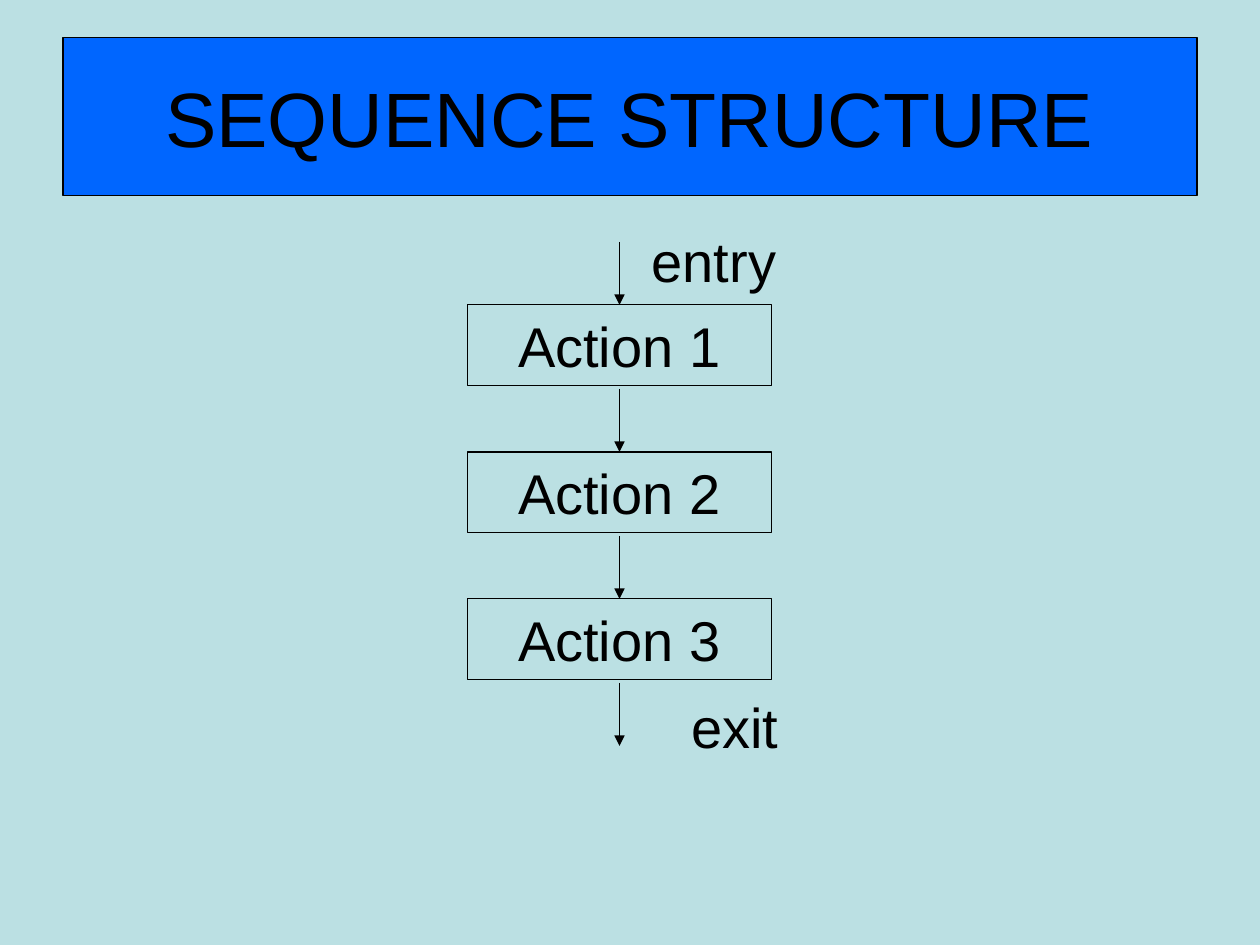
"""Build a slide that shows the sequence structure as a flowchart."""
from pptx import Presentation
from pptx.dml.color import RGBColor
from pptx.enum.shapes import MSO_CONNECTOR, MSO_SHAPE
from pptx.enum.text import MSO_ANCHOR, MSO_AUTO_SIZE, PP_ALIGN
from pptx.oxml.ns import qn
from pptx.util import Pt
from lxml.etree import SubElement

TITLE = "SEQUENCE STRUCTURE"
ACTIONS = ["Action 1", "Action 2", "Action 3"]
LABELS = [("entry", 354, 126), ("exit", 366, 392.4)]
COLORS = {"background": "BBE0E3", "title": "0066FF", "ink": "000000"}
FONT = "Arial"

CENTER_X = 354
FIRST_ARROW_TOP, ARROW_LENGTH, STEP = 138.2, 36, 84
BOX_WIDTH, BOX_HEIGHT = 174, 46
LABEL_WIDTH, LABEL_HEIGHT = 108, 45.4


def color(name):
    return RGBColor.from_string(COLORS[name])


def outline(shape):
    shape.line.color.rgb = color("ink")
    shape.line.width = Pt(0.75)


def write(shape, text, size):
    frame = shape.text_frame
    frame.text = text
    frame.word_wrap = True
    frame.auto_size = MSO_AUTO_SIZE.NONE
    frame.vertical_anchor = MSO_ANCHOR.MIDDLE
    paragraph = frame.paragraphs[0]
    paragraph.alignment = PP_ALIGN.CENTER
    paragraph.font.name = FONT
    paragraph.font.size = Pt(size)
    paragraph.font.color.rgb = color("ink")


def add_arrow(slide, top):
    arrow = slide.shapes.add_connector(
        MSO_CONNECTOR.STRAIGHT,
        Pt(CENTER_X), Pt(top), Pt(CENTER_X), Pt(top + ARROW_LENGTH))
    outline(arrow)
    SubElement(arrow.line._get_or_add_ln(), qn("a:tailEnd"), type="triangle")
    SubElement(arrow._element.spPr, qn("a:effectLst"))


def add_action(slide, text, top):
    box = slide.shapes.add_shape(
        MSO_SHAPE.RECTANGLE,
        Pt(CENTER_X - BOX_WIDTH / 2), Pt(top), Pt(BOX_WIDTH), Pt(BOX_HEIGHT))
    box.shadow.inherit = False
    box.fill.background()
    outline(box)
    write(box, text, 32)


def main():
    presentation = Presentation()
    presentation.slide_width, presentation.slide_height = Pt(720), Pt(540)
    slide = presentation.slides.add_slide(presentation.slide_layouts[5])
    slide.background.fill.solid()
    slide.background.fill.fore_color.rgb = color("background")

    title = slide.shapes.title
    title.left, title.top, title.width, title.height = Pt(36), Pt(21.6), Pt(648), Pt(90)
    title.fill.solid()
    title.fill.fore_color.rgb = color("title")
    outline(title)
    write(title, TITLE, 44)

    for index in range(len(ACTIONS) + 1):
        add_arrow(slide, FIRST_ARROW_TOP + index * STEP)
    for index, text in enumerate(ACTIONS):
        add_action(slide, text, FIRST_ARROW_TOP + ARROW_LENGTH + index * STEP)
    for text, left, top in LABELS:
        label = slide.shapes.add_textbox(
            Pt(left), Pt(top), Pt(LABEL_WIDTH), Pt(LABEL_HEIGHT))
        write(label, text, 32)

    presentation.save("out.pptx")


if __name__ == "__main__":
    main()
